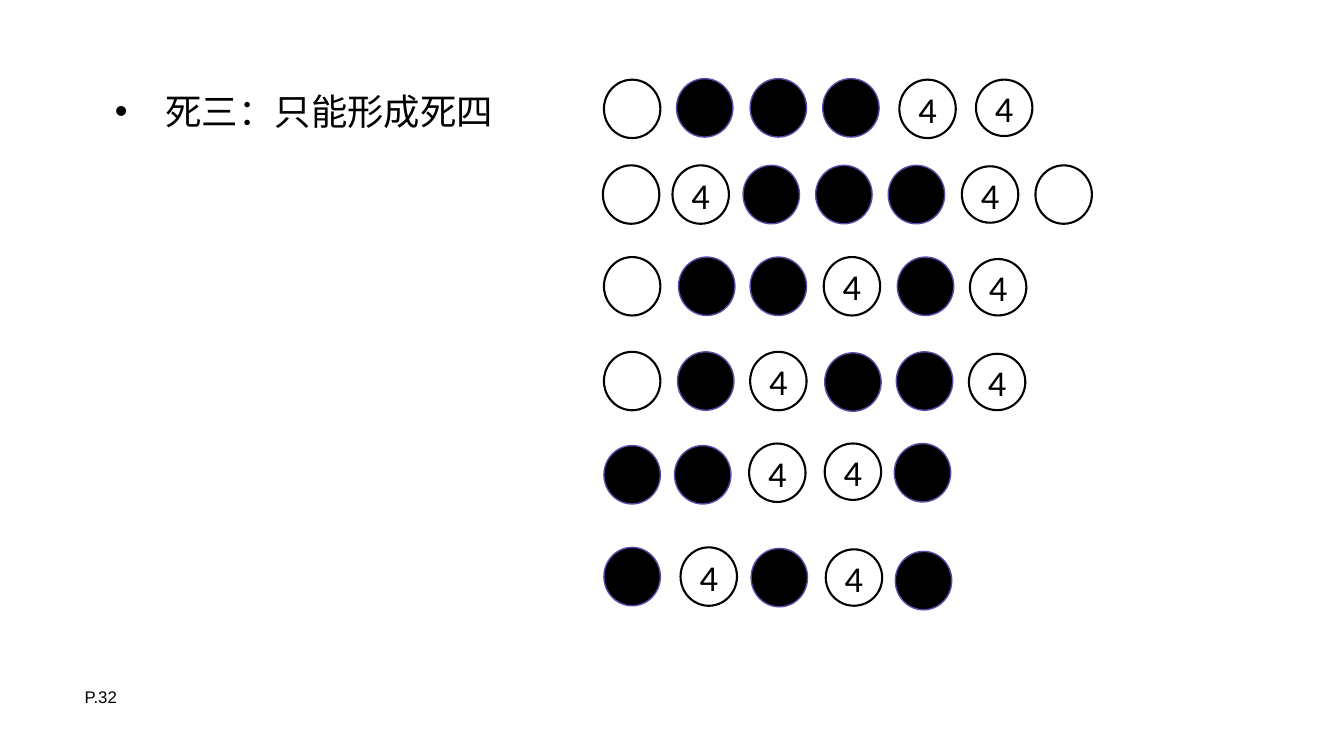
"""Build the slide that shows the dead-three patterns of a five-in-a-row board."""
from lxml import etree
from pptx import Presentation
from pptx.dml.color import RGBColor
from pptx.enum.shapes import MSO_SHAPE as Shape
from pptx.enum.text import MSO_ANCHOR as Anchor, PP_ALIGN as Align
from pptx.oxml.ns import qn
from pptx.util import Pt

PX = 9144
COLORS = {"ink": "000000", "stone_edge": "5B4CAA"}


def color(name):
    return RGBColor.from_string(COLORS[name])


def write(box, text, size, font, align=Align.LEFT, anchor=Anchor.TOP,
          inset=(10, 5), spacing=1.0, bullet=None, indent=0):
    frame = box.text_frame
    frame.word_wrap = True
    frame.vertical_anchor = anchor
    frame.margin_left = frame.margin_right = inset[0] * PX
    frame.margin_top = frame.margin_bottom = inset[1] * PX
    para = frame.paragraphs[0]
    para.alignment = align
    para.line_spacing = spacing
    para.space_before = Pt(0)
    if bullet:
        props = para._p.get_or_add_pPr()
        props.set("marL", str(indent * PX))
        props.set("indent", str(-indent * PX))
        etree.SubElement(props, qn("a:buFont")).set("typeface", "Arial")
        etree.SubElement(props, qn("a:buChar")).set("char", bullet)
    span = para.add_run()
    span.text = text
    span.font.size = Pt(size)
    span.font.name = font
    span.font.color.rgb = color("ink")


deck = Presentation()
deck.slide_width, deck.slide_height = 1333 * PX, 750 * PX
page = deck.slides.add_slide(deck.slide_layouts[1])
title, body = page.placeholders
title.element.getparent().remove(title.element)

body.left, body.top, body.width, body.height = (n * PX for n in (104, 75, 1105, 452))
write(body, "死三：只能形成死四", 26, "Arial", spacing=1.2, bullet="•", indent=50)

page_number = page.shapes.add_textbox(74 * PX, 678 * PX, 62 * PX, 26 * PX)
write(page_number, "P.32", 12, "Arial", anchor=Anchor.MIDDLE)

WIDTH = 56
HEIGHTS = {"black": 58, "empty": 58, "four": 58, "low four": 56}
BOARD_ROWS = [
    [("empty", 599, 79), ("black", 671, 78), ("black", 744, 78), ("black", 816, 78),
     ("four", 892, 79), ("low four", 968, 79)],
    [("empty", 598, 164), ("four", 667, 164), ("black", 737, 164), ("black", 809, 164),
     ("black", 881, 164), ("low four", 954, 165), ("empty", 1027, 164)],
    [("empty", 599, 255), ("black", 673, 255), ("black", 744, 255), ("four", 817, 255),
     ("black", 890, 255), ("low four", 962, 257)],
    [("empty", 599, 349), ("black", 672, 349), ("four", 744, 349), ("black", 818, 350),
     ("black", 889, 349), ("low four", 961, 351)],
    [("black", 599, 442), ("black", 669, 442), ("four", 743, 440), ("low four", 818, 440),
     ("black", 887, 440)],
    [("black", 599, 543), ("four", 675, 543), ("black", 745, 544), ("low four", 819, 545),
     ("black", 888, 547)],
]

for board_row in BOARD_ROWS:
    group = page.shapes.add_group_shape()
    for kind, left, top in board_row:
        stone = group.shapes.add_shape(
            Shape.OVAL, left * PX, top * PX, WIDTH * PX, HEIGHTS[kind] * PX)
        stone.shadow.inherit = False
        if kind == "black":
            stone.fill.solid()
            stone.fill.fore_color.rgb = color("ink")
        else:
            stone.fill.background()
        stone.line.color.rgb = color("stone_edge" if kind == "black" else "ink")
        stone.line.width = Pt(1 if kind == "black" else 1.5)
        if kind.endswith("four"):
            write(stone, "4", 26, "Calibri", align=Align.CENTER,
                  anchor=Anchor.MIDDLE, inset=(0, 0))

deck.save("out.pptx")
